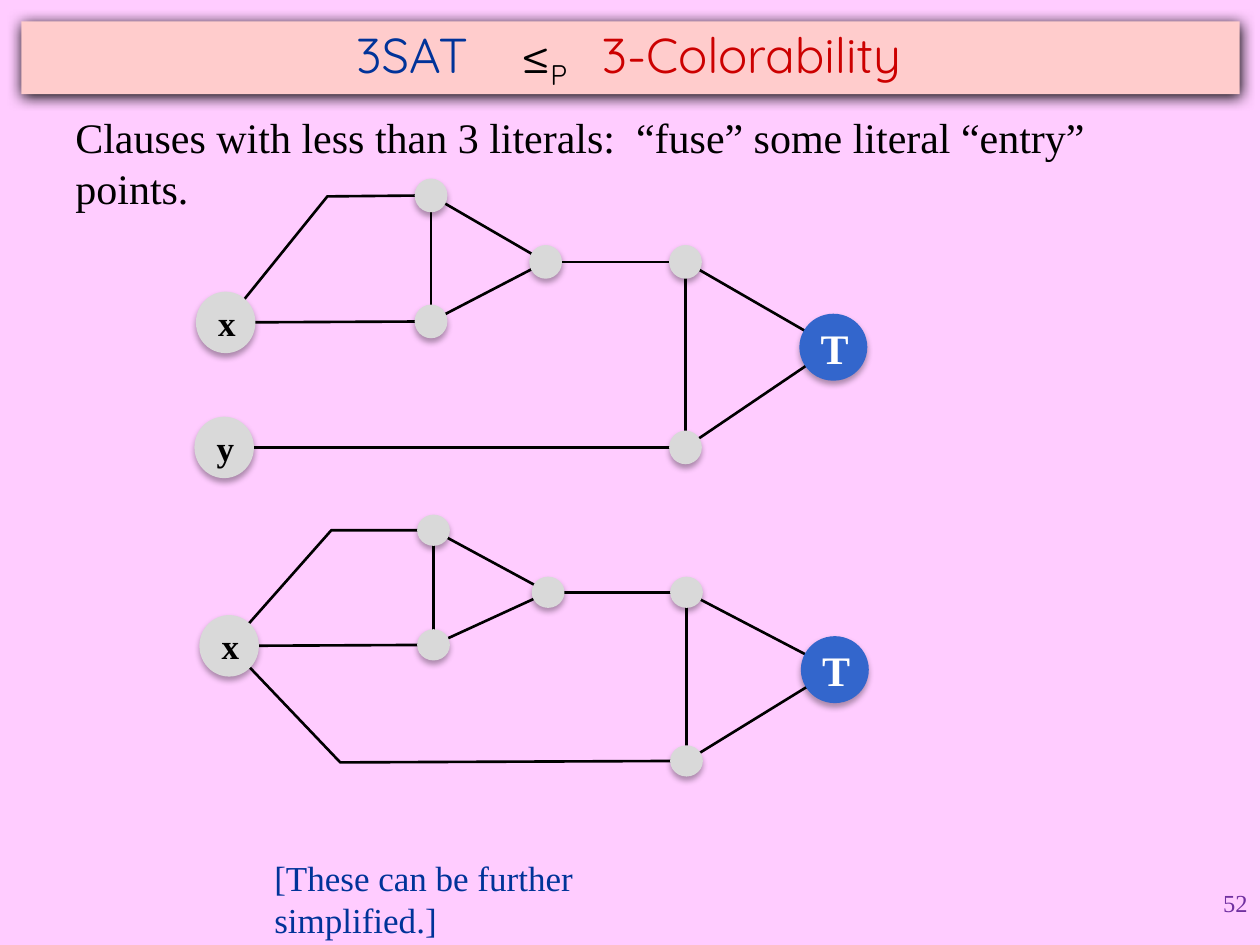
from dataclasses import dataclass

from lxml.etree import SubElement
from pptx import Presentation
from pptx.dml.color import RGBColor
from pptx.enum.shapes import MSO_CONNECTOR, MSO_SHAPE
from pptx.enum.text import MSO_ANCHOR, PP_ALIGN
from pptx.oxml.ns import qn
from pptx.util import Cm, Pt

SERIF = "Times New Roman"
BLACK, WHITE, NAVY = "000000", "FFFFFF", "003399"
GREY, BLUE = "D9D9D9", "3366CC"
Point = tuple[float, float]


@dataclass(frozen=True)
class NodeStyle:
    width: float
    height: float
    fill: str
    size: int = 20
    color: str = BLACK


@dataclass(frozen=True)
class Gadget:
    """Clause gadget: node centres in cm, and wires as lists of node names or bend points."""
    nodes: dict[str, Point]
    entries: list[list[str | Point]]
    dot: NodeStyle


LITERAL = NodeStyle(1.2, 1.24, GREY)
TRUE = NodeStyle(1.37, 1.35, BLUE, 24, WHITE)
LABELLED = {"x": LITERAL, "y": LITERAL, "T": TRUE}

# Wires every gadget has
CORE = [["x", "low"], ["top", "mid"], ["mid", "low"], ["low", "top"], ["mid", "out"],
        ["out", "T"], ["T", "base"], ["base", "out"]]

GADGETS = [
    Gadget({"T": (16.8, 7), "x": (4.55, 6.5), "y": (4.52, 9.02), "top": (8.69, 3.94),
            "low": (8.69, 6.48), "mid": (11, 5.28), "out": (13.82, 5.28), "base": (13.82, 9.02)},
           [["x", (6.6, 3.96), "top"], ["base", "y"]],
           NodeStyle(0.66, 0.68, GREY)),
    Gadget({"T": (16.83, 13.5), "x": (4.62, 13.02), "top": (8.74, 10.69),
            "low": (8.74, 13), "mid": (11.05, 11.94), "out": (13.84, 11.94), "base": (13.84, 15.34)},
           [["x", (6.68, 10.69), "top"], ["base", (6.86, 15.37), "x"]],
           NodeStyle(0.66, 0.63, GREY)),
]


def rgb(color: str) -> RGBColor:
    return RGBColor.from_string(color)


def set_effects(s, alpha: int = 0, blur: float = 0, dist: float = 0) -> None:
    """Replace the theme effects by a downward shadow, or by none if alpha is 0."""
    effects = SubElement(s._element.spPr, qn("a:effectLst"))
    if alpha:
        shadow = SubElement(effects, qn("a:outerShdw"), blurRad=str(Pt(blur)), dist=str(Pt(dist)),
                            dir="5400000", algn="ctr", rotWithShape="0")
        color = SubElement(shadow, qn("a:srgbClr"), val=BLACK)
        SubElement(color, qn("a:alpha"), val=str(alpha * 1000))


def add_run(p, text: str, size: int, color: str, font: str = SERIF, bold: bool = False):
    r = p.add_run()
    r.text = text
    r.font.size, r.font.name, r.font.bold = Pt(size), font, bold
    r.font.color.rgb = rgb(color)
    return r


def add_text(shapes, box: tuple, text: str, size: int, color: str, align=PP_ALIGN.LEFT) -> None:
    tf = shapes.add_textbox(*map(Cm, box)).text_frame
    tf.word_wrap = True
    p = tf.paragraphs[0]
    p.alignment = align
    add_run(p, text, size, color)


def add_wire(shapes, points: list[Point]) -> None:
    corners = [(Cm(x), Cm(y)) for x, y in points]
    if len(corners) == 2:
        s = shapes.add_connector(MSO_CONNECTOR.STRAIGHT, *corners[0], *corners[1])
    else:
        builder = shapes.build_freeform(*corners[0])
        builder.add_line_segments(corners[1:], close=False)
        s = builder.convert_to_shape()
        s.fill.background()
    s.line.color.rgb = rgb(BLACK)
    s.line.width = Pt(1.5)
    set_effects(s)


def add_node(shapes, center: Point, style: NodeStyle, label: str = "") -> None:
    x, y = center
    s = shapes.add_shape(MSO_SHAPE.OVAL, Cm(x - style.width / 2), Cm(y - style.height / 2),
                         Cm(style.width), Cm(style.height))
    s.fill.solid()
    s.fill.fore_color.rgb = rgb(style.fill)
    s.line.fill.background()
    set_effects(s, 32, 3.5, 2.2)
    if label:
        tf = s.text_frame
        tf.word_wrap = False
        tf.vertical_anchor = MSO_ANCHOR.MIDDLE
        tf.margin_left, tf.margin_right = Cm(0.25), Cm(0.2)
        tf.margin_top = tf.margin_bottom = 0
        p = tf.paragraphs[0]
        p.alignment = PP_ALIGN.CENTER
        add_run(p, label, style.size, style.color, bold=True)


def add_gadget(slide, gadget: Gadget) -> None:
    shapes = slide.shapes.add_group_shape().shapes
    for wire in gadget.entries + CORE:
        add_wire(shapes, [gadget.nodes[stop] if isinstance(stop, str) else stop for stop in wire])
    for name, center in gadget.nodes.items():
        add_node(shapes, center, LABELLED.get(name, gadget.dot), name if name in LABELLED else "")


def format_title(s) -> None:
    s.left, s.top, s.width, s.height = Cm(0.43), Cm(0.43), Cm(24.56), Cm(1.47)
    s.fill.solid()
    s.fill.fore_color.rgb = rgb("FFCCCC")
    set_effects(s, 100, 8.5, 1)
    tf = s.text_frame
    tf.vertical_anchor = MSO_ANCHOR.MIDDLE
    tf.margin_left = Cm(6.75)
    p = tf.paragraphs[0]
    p.alignment = PP_ALIGN.LEFT
    tabs = SubElement(p._p.get_or_add_pPr(), qn("a:tabLst"))
    for stop in (3.33, 4.95):
        SubElement(tabs, qn("a:tab"), pos=str(Cm(stop)), algn="l")
    for text, color in (("3SAT\t", NAVY), ("≤", BLACK), ("P\t", BLACK), ("3-Colorability", "CC0000")):
        r = add_run(p, text, 28, color, "Quicksand")
        if text.startswith("P"):
            r._r.get_or_add_rPr().set("baseline", "-25000")


def main() -> None:
    prs = Presentation()
    prs.slide_width, prs.slide_height = Cm(25.4), Cm(19.05)
    slide = prs.slides.add_slide(prs.slide_layouts[5])
    slide.background.fill.solid()
    slide.background.fill.fore_color.rgb = rgb("FFCCFF")
    format_title(slide.shapes.title)
    add_text(slide.shapes, (1.27, 2.13, 23, 1.27),
             "Clauses with less than 3 literals:  “fuse” some literal “entry” points.", 24, BLACK)
    for gadget in GADGETS:
        add_gadget(slide, gadget)
    add_text(slide.shapes, (5.28, 17.15, 9.6, 1.1), "[These can be further simplified.]", 20, NAVY)
    add_text(slide.shapes, (20.12, 17.78, 5.28, 1.27), "52", 14, "7030A0", PP_ALIGN.RIGHT)
    prs.save("out.pptx")


if __name__ == "__main__":
    main()
